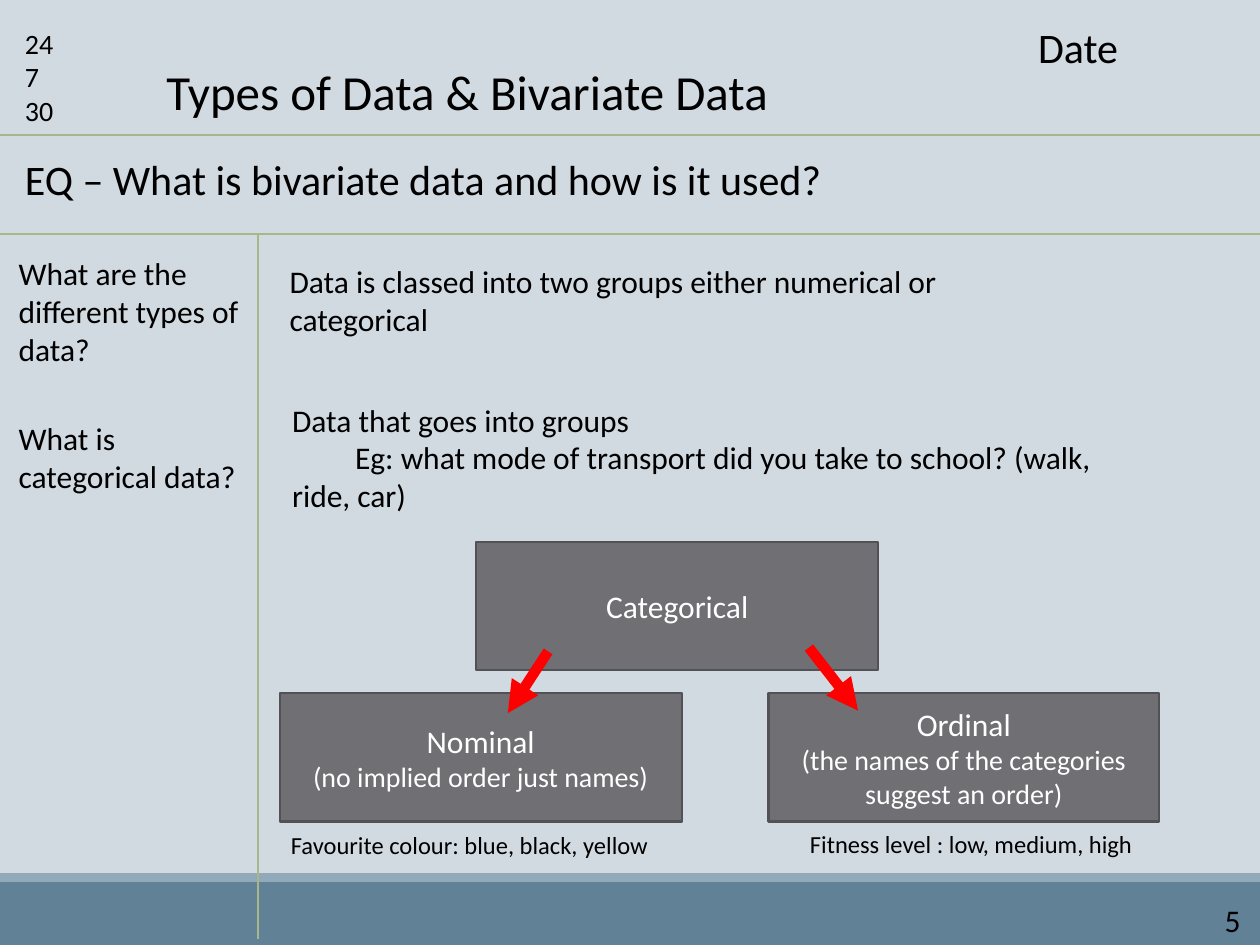
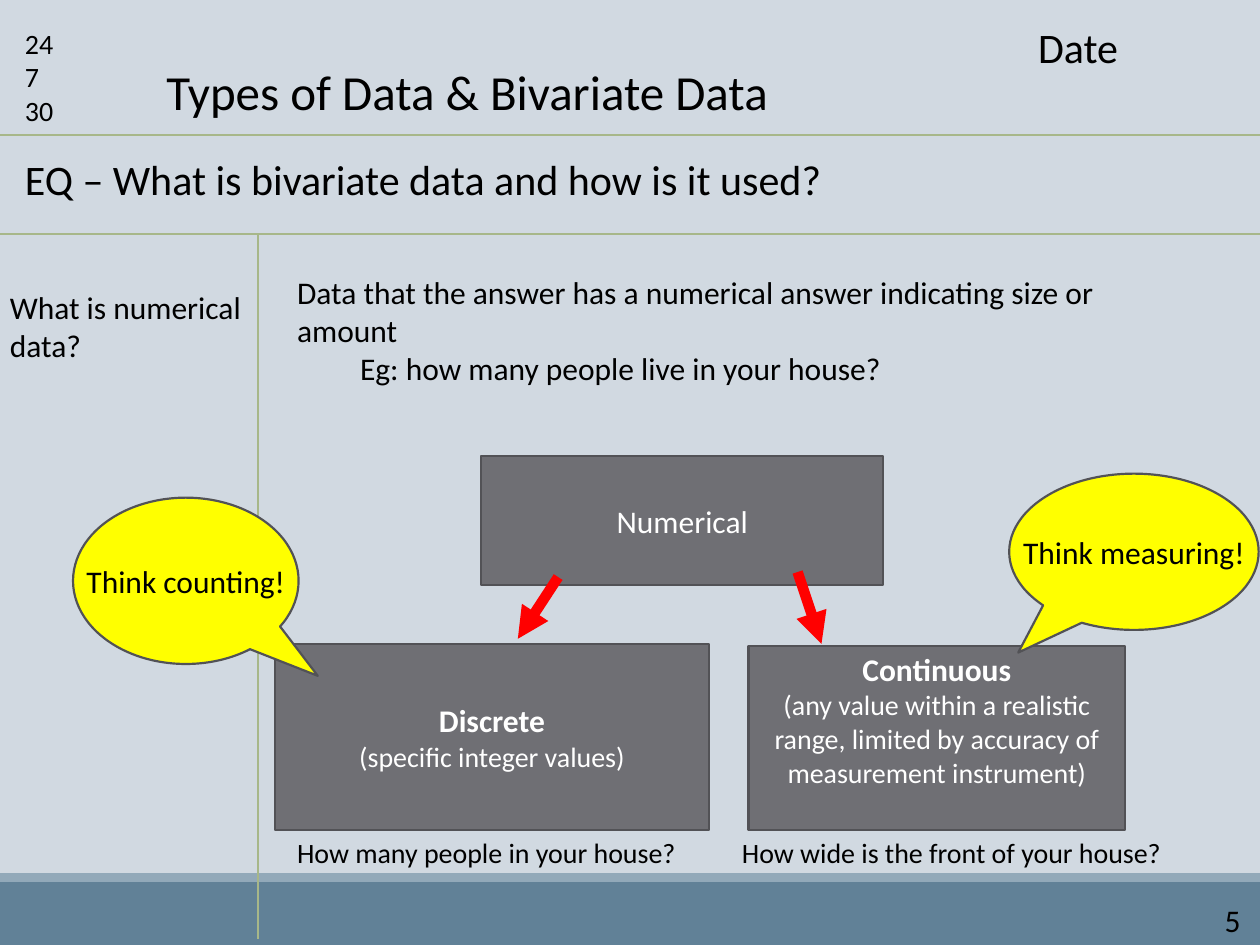
"""Build two lesson slides on types of data and bivariate data."""
from dataclasses import dataclass

from lxml.etree import SubElement
from pptx import Presentation
from pptx.dml.color import RGBColor
from pptx.enum.shapes import MSO_CONNECTOR, MSO_SHAPE
from pptx.enum.text import MSO_ANCHOR, MSO_AUTO_SIZE, PP_ALIGN
from pptx.oxml.ns import qn
from pptx.presentation import Presentation as Deck
from pptx.shapes.autoshape import Shape
from pptx.shapes.connector import Connector
from pptx.slide import Slide
from pptx.text.text import TextFrame
from pptx.util import Inches, Pt


@dataclass(frozen=True)
class Theme:
    font: str = "Calibri"
    background: str = "D1D9E1"
    band: str = "618197"
    band_edge: str = "92A9B9"
    rule: str = "A7B789"
    box: str = "6F6F74"
    outline: str = "525256"
    arrow: str = "FF0000"
    callout: str = "FFFF00"
    text: str = "000000"
    box_text: str = "FFFFFF"
    title_size: int = 28
    heading_size: int = 24
    body_size: int = 18
    detail_size: int = 16
    small_size: int = 14
    rule_width: float = 1
    outline_width: float = 1.25
    arrow_width: float = 6


THEME = Theme()


@dataclass(frozen=True)
class Area:
    left: float
    top: float
    width: float
    height: float

    def lengths(self) -> tuple[Inches, Inches, Inches, Inches]:
        return Inches(self.left), Inches(self.top), Inches(self.width), Inches(self.height)


@dataclass(frozen=True)
class Line:
    text: str
    size: int = THEME.body_size
    bold: bool = False
    indent: float = 0


@dataclass(frozen=True)
class Note:
    area: Area
    lines: tuple[Line, ...]


@dataclass(frozen=True)
class Box:
    area: Area
    lines: tuple[Line, ...]
    bottom_inset: float = 0.05


@dataclass(frozen=True)
class Stroke:
    start: tuple[float, float]
    end: tuple[float, float]


@dataclass(frozen=True)
class Callout:
    area: Area
    text: str
    tip: tuple[float, float]


@dataclass(frozen=True)
class Lesson:
    notes: tuple[Note, ...]
    boxes: tuple[Box, ...]
    arrows: tuple[Stroke, ...]
    callouts: tuple[Callout, ...] = ()


TITLE = "Types of Data & Bivariate Data"
TITLE_AREA = Area(1.22, 0.44, 5.11, 0.57)
BANDS = (
    (Area(0, 7, 10, 0.5), THEME.band),
    (Area(0, 6.93, 10, 0.07), THEME.band_edge),
)
RULES = (
    Stroke((0, 1.07), (10, 1.07)),
    Stroke((0, 1.86), (10, 1.86)),
    Stroke((2.05, 1.86), (2.05, 7.45)),
)
FRAME_NOTES = (
    Note(Area(9.62, 7.1, 0.38, 0.4), (Line("5"),)),
    Note(Area(0.1, 0.16, 0.63, 0.91),
         tuple(Line(number, THEME.detail_size) for number in ("24", "7", "30"))),
    Note(Area(8.14, 0.12, 1.73, 0.5), (Line("Date", THEME.heading_size),)),
    Note(Area(0.1, 1.17, 9.43, 0.5),
         (Line("EQ – What is bivariate data and how is it used?", THEME.heading_size),)),
)

CATEGORICAL = Lesson(
    notes=(
        Note(Area(0.05, 1.97, 1.96, 1.01), (Line("What are the different types of data?"),)),
        Note(Area(0.05, 3.28, 2.07, 0.71), (Line("What is categorical data?"),)),
        Note(Area(2.2, 2.03, 5.83, 0.71),
             (Line("Data is classed into two groups either numerical or categorical"),)),
        Note(Area(2.22, 3.13, 6.9, 1.01),
             (Line("Data that goes into groups"),
              Line("Eg: what mode of transport did you take to school? (walk, ride, car)",
                   indent=0.5))),
        Note(Area(2.21, 6.54, 3.13, 0.34),
             (Line("Favourite colour: blue, black, yellow", THEME.small_size),)),
        Note(Area(6.33, 6.53, 3.13, 0.34),
             (Line("Fitness level : low, medium, high", THEME.small_size),)),
    ),
    boxes=(
        Box(Area(3.78, 4.3, 3.19, 1.02), (Line("Categorical"),)),
        Box(Area(2.22, 5.5, 3.19, 1.02),
            (Line("Nominal"), Line("(no implied order just names)", THEME.detail_size))),
        Box(Area(6.1, 5.5, 3.1, 1.02),
            (Line("Ordinal"),
             Line("(the names of the categories suggest an order)", THEME.detail_size))),
    ),
    arrows=(Stroke((4.35, 5.17), (4.03, 5.66)), Stroke((6.42, 5.14), (6.81, 5.64))),
)

NUMERICAL = Lesson(
    notes=(
        Note(Area(-0.02, 2.24, 2.07, 0.71), (Line("What is numerical data?"),)),
        Note(Area(2.26, 2.12, 7, 1.01),
             (Line("Data that the answer has a numerical answer indicating size or amount"),
              Line("Eg: how many people live in your house?", indent=0.5))),
        Note(Area(2.26, 6.58, 3.37, 0.37),
             (Line("How many people in your house?", THEME.detail_size),)),
        Note(Area(5.79, 6.58, 3.78, 0.37),
             (Line("How wide is the front of your house?", THEME.detail_size),)),
    ),
    boxes=(
        Box(Area(3.82, 3.62, 3.19, 1.02), (Line("Numerical"),)),
        Box(Area(2.18, 5.11, 3.45, 1.48),
            (Line("Discrete", bold=True),
             Line("(specific integer values)", THEME.detail_size))),
        Box(Area(5.94, 5.13, 2.99, 1.46),
            (Line("Continuous", bold=True),
             Line("(any value within a realistic range, limited by accuracy of "
                  "measurement instrument)", THEME.detail_size)),
            bottom_inset=0.35),
    ),
    arrows=(Stroke((6.33, 4.54), (6.52, 5.11)), Stroke((4.43, 4.58), (4.11, 5.07))),
    callouts=(
        Callout(Area(0.58, 3.95, 1.79, 1.32), "Think counting!", (0.585, 0.571)),
        Callout(Area(8.01, 3.76, 1.98, 1.24), "Think measuring!", (-0.464, 0.645)),
    ),
)


def write_lines(frame: TextFrame, lines: tuple[Line, ...], color: str,
                alignment: PP_ALIGN = PP_ALIGN.LEFT) -> None:
    for index, line in enumerate(lines):
        paragraph = frame.paragraphs[0] if index == 0 else frame.add_paragraph()
        paragraph.text = line.text
        paragraph.alignment = alignment
        if line.indent:
            properties = paragraph._p.get_or_add_pPr()
            properties.set("marL", "0")
            properties.set("indent", str(Inches(line.indent)))
        paragraph.font.name = THEME.font
        paragraph.font.size = Pt(line.size)
        paragraph.font.bold = line.bold
        paragraph.font.color.rgb = RGBColor.from_string(color)


def add_filled_shape(slide: Slide, kind: MSO_SHAPE, area: Area, fill: str,
                     outlined: bool = True) -> Shape:
    shape = slide.shapes.add_shape(kind, *area.lengths())
    shape.shadow.inherit = False
    shape.fill.solid()
    shape.fill.fore_color.rgb = RGBColor.from_string(fill)
    if outlined:
        shape.line.color.rgb = RGBColor.from_string(THEME.outline)
        shape.line.width = Pt(THEME.outline_width)
    else:
        shape.line.fill.background()
    return shape


def add_stroke(slide: Slide, stroke: Stroke, color: str, width: float) -> Connector:
    points = [Inches(value) for value in (*stroke.start, *stroke.end)]
    connector = slide.shapes.add_connector(MSO_CONNECTOR.STRAIGHT, *points)
    connector.line.color.rgb = RGBColor.from_string(color)
    connector.line.width = Pt(width)
    SubElement(connector._element.spPr, qn("a:effectLst"))
    return connector


def add_arrow(slide: Slide, stroke: Stroke) -> None:
    connector = add_stroke(slide, stroke, THEME.arrow, THEME.arrow_width)
    SubElement(connector.line._get_or_add_ln(), qn("a:tailEnd"), type="triangle")


def add_note(slide: Slide, note: Note) -> None:
    frame = slide.shapes.add_textbox(*note.area.lengths()).text_frame
    frame.word_wrap = True
    frame.auto_size = MSO_AUTO_SIZE.SHAPE_TO_FIT_TEXT
    write_lines(frame, note.lines, THEME.text)


def add_box(slide: Slide, box: Box) -> None:
    frame = add_filled_shape(slide, MSO_SHAPE.RECTANGLE, box.area, THEME.box).text_frame
    frame.word_wrap = True
    frame.vertical_anchor = MSO_ANCHOR.MIDDLE
    frame.margin_bottom = Inches(box.bottom_inset)
    write_lines(frame, box.lines, THEME.box_text, PP_ALIGN.CENTER)


def add_callout(slide: Slide, callout: Callout) -> None:
    shape = add_filled_shape(slide, MSO_SHAPE.OVAL_CALLOUT, callout.area, THEME.callout)
    for index, offset in enumerate(callout.tip):
        shape.adjustments[index] = offset
    shape.text_frame.word_wrap = False
    shape.text_frame.vertical_anchor = MSO_ANCHOR.MIDDLE
    write_lines(shape.text_frame, (Line(callout.text),), THEME.text, PP_ALIGN.CENTER)


def place_title(slide: Slide) -> None:
    title = slide.shapes.title
    title.left, title.top, title.width, title.height = TITLE_AREA.lengths()
    frame = title.text_frame
    frame.word_wrap = True
    frame.auto_size = MSO_AUTO_SIZE.NONE
    frame.vertical_anchor = MSO_ANCHOR.TOP
    write_lines(frame, (Line(TITLE, THEME.title_size),), THEME.text)


def add_lesson_slide(presentation: Deck, lesson: Lesson) -> None:
    slide = presentation.slides.add_slide(presentation.slide_layouts.get_by_name("Title Only"))
    slide.background.fill.solid()
    slide.background.fill.fore_color.rgb = RGBColor.from_string(THEME.background)
    place_title(slide)
    for area, color in BANDS:
        add_filled_shape(slide, MSO_SHAPE.RECTANGLE, area, color, outlined=False)
    for rule in RULES:
        add_stroke(slide, rule, THEME.rule, THEME.rule_width)
    for note in FRAME_NOTES + lesson.notes:
        add_note(slide, note)
    for box in lesson.boxes:
        add_box(slide, box)
    for arrow in lesson.arrows:
        add_arrow(slide, arrow)
    for callout in lesson.callouts:
        add_callout(slide, callout)


def main() -> None:
    presentation = Presentation()
    presentation.slide_width = Inches(10)
    presentation.slide_height = Inches(7.5)
    for lesson in (CATEGORICAL, NUMERICAL):
        add_lesson_slide(presentation, lesson)
    presentation.save("out.pptx")


if __name__ == "__main__":
    main()
